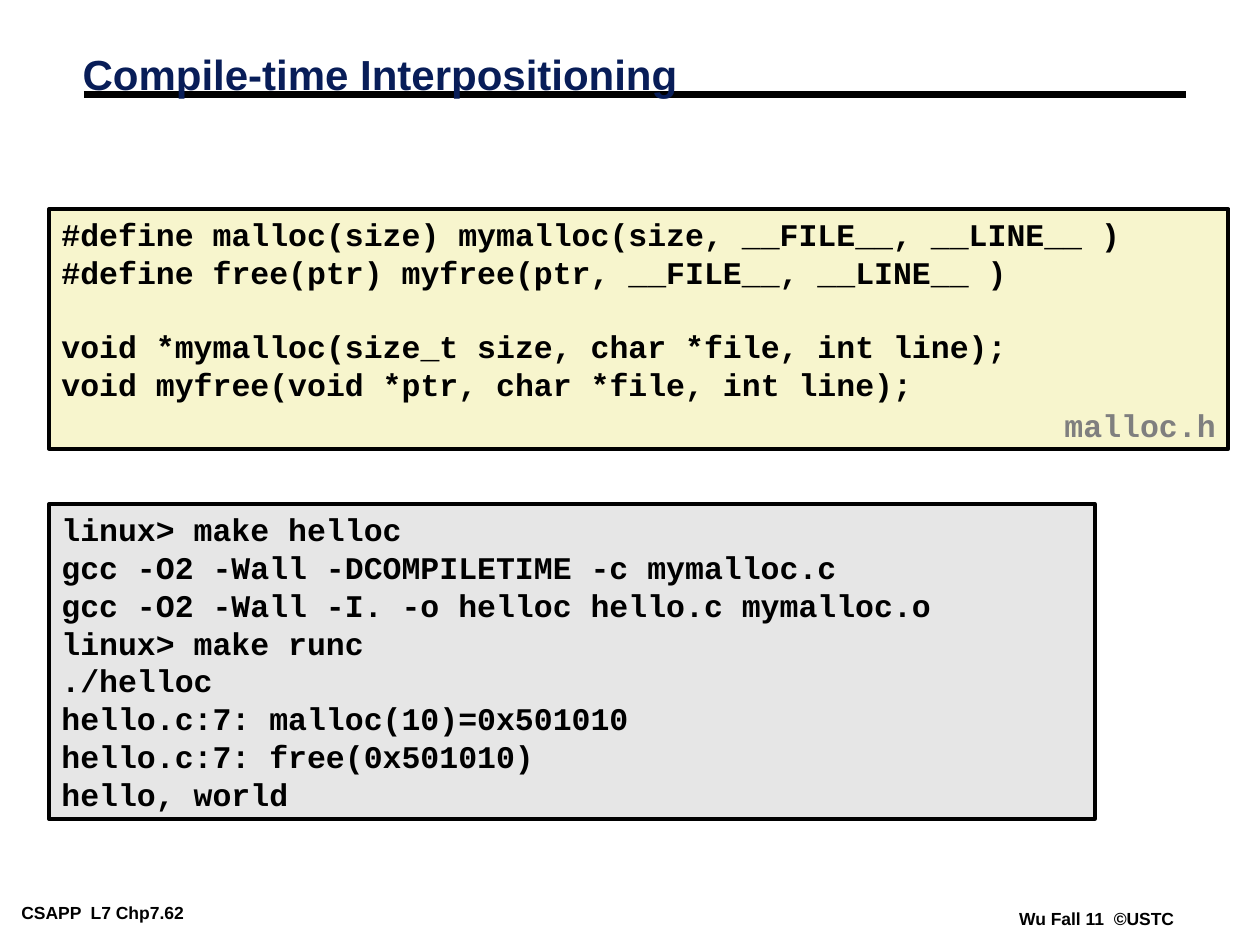
from dataclasses import dataclass

from lxml.etree import SubElement
from pptx import Presentation
from pptx.dml.color import RGBColor
from pptx.enum.shapes import MSO_CONNECTOR, MSO_SHAPE
from pptx.enum.text import MSO_ANCHOR, MSO_AUTO_SIZE, PP_ALIGN
from pptx.oxml.ns import qn
from pptx.util import Pt


@dataclass(frozen=True)
class Theme:
    ink: RGBColor = RGBColor.from_string("000000")
    navy: RGBColor = RGBColor.from_string("081D58")
    grey: RGBColor = RGBColor.from_string("7F7F7F")
    cream: RGBColor = RGBColor.from_string("F7F5CD")
    silver: RGBColor = RGBColor.from_string("E6E6E6")
    sans: str = "Arial"
    mono: str = "Courier New"
    title_size: int = 24
    code_size: int = 18
    footer_size: int = 10
    code_line: float = 20.4


T = Theme()

# Each group of lines is set off from the one before by one line of space.
HEADER_CODE = [
    ["#define malloc(size) mymalloc(size, __FILE__, __LINE__ )",
     "#define free(ptr) myfree(ptr, __FILE__, __LINE__ )"],
    ["void *mymalloc(size_t size, char *file, int line);",
     "void myfree(void *ptr, char *file, int line);"],
]
SESSION = [
    ["linux> make helloc",
     "gcc -O2 -Wall -DCOMPILETIME -c mymalloc.c",
     "gcc -O2 -Wall -I. -o helloc hello.c mymalloc.o",
     "linux> make runc",
     "./helloc",
     "hello.c:7: malloc(10)=0x501010",
     "hello.c:7: free(0x501010)",
     "hello, world"],
]


def set_attrs(obj, **values):
    for name, value in values.items():
        setattr(obj, name, value)


def set_frame(tf, inset_x, inset_y, **values):
    set_attrs(tf, margin_left=Pt(inset_x), margin_right=Pt(inset_x),
              margin_top=Pt(inset_y), margin_bottom=Pt(inset_y), **values)


def write(p, text, font, size, color):
    p.alignment = PP_ALIGN.LEFT
    r = p.add_run()
    r.text = text
    set_attrs(r.font, name=font, size=Pt(size), bold=True)
    r.font.color.rgb = color


def add_label(slide, box, text, font, size, color, insets):
    tf = slide.shapes.add_textbox(*map(Pt, box)).text_frame
    set_frame(tf, *insets, word_wrap=False,
              auto_size=MSO_AUTO_SIZE.SHAPE_TO_FIT_TEXT)
    write(tf.paragraphs[0], text, font, size, color)


def add_heading(slide, box):
    """Place the title and the thick rule that runs under it."""
    x, y, w, h = box
    rule_y = Pt(y + 26)
    rule = slide.shapes.add_connector(
        MSO_CONNECTOR.STRAIGHT, Pt(x + 8), rule_y, Pt(x + w), rule_y)
    rule.line.color.rgb = T.ink
    rule.line.width = Pt(4.5)
    SubElement(rule._element.spPr, qn("a:effectLst"))

    title = slide.shapes.title
    set_attrs(title, left=Pt(x), top=Pt(y), width=Pt(w - 40), height=Pt(h))
    # Bring the title in front of the rule.
    rule._element.addnext(title._element)
    tf = title.text_frame
    set_frame(tf, 7.2, 3.6, word_wrap=True, auto_size=MSO_AUTO_SIZE.NONE,
              vertical_anchor=MSO_ANCHOR.MIDDLE)
    p = tf.paragraphs[0]
    p.line_spacing = 0.87
    write(p, "Compile-time Interpositioning", T.sans, T.title_size, T.navy)


def add_code_panel(slide, box, groups, fill, file_name=None):
    """Place a framed listing, with its file name in the lower right corner."""
    x, y, w, h = box
    sp = slide.shapes.add_shape(MSO_SHAPE.RECTANGLE, *map(Pt, box))
    sp.shadow.inherit = False
    sp.fill.solid()
    sp.fill.fore_color.rgb = fill
    sp.line.color.rgb = T.ink
    sp.line.width = Pt(2.25)
    tf = sp.text_frame
    set_frame(tf, 7.2, 3.6, word_wrap=True, vertical_anchor=MSO_ANCHOR.TOP)
    for g, group in enumerate(groups):
        for i, line in enumerate(group):
            first = g == i == 0
            p = tf.paragraphs[0] if first else tf.add_paragraph()
            if g and i == 0:
                p.space_before = Pt(T.code_line)
            write(p, line, T.mono, T.code_size, T.ink)
    if file_name:
        label_w, label_h = 100.8, 28.8
        add_label(slide, (x + w - label_w, y + h - label_h + 0.8, label_w, label_h),
                  file_name, T.mono, T.code_size, T.grey, (7.2, 3.6))


def add_footer(slide, box):
    x, y, w, h = box
    right_w = 99.4
    for label_box, text in (
        ((x, y, 140.4, h), "CSAPP  L7 Chp7.62"),
        ((x + w - right_w, y + 3, right_w, h), "Wu Fall 11  ©USTC"),
    ):
        add_label(slide, label_box, text, T.sans, T.footer_size, T.ink, (5, 2.2))


def main():
    prs = Presentation()
    set_attrs(prs, slide_width=Pt(720), slide_height=Pt(540))
    slide = prs.slides.add_slide(prs.slide_layouts[5])
    add_footer(slide, (7.2, 513.4, 669.6, 15.8))
    add_heading(slide, (40, 28, 638, 32.4))
    add_code_panel(slide, (28, 119.6, 674, 136.8), HEADER_CODE, T.cream, "malloc.h")
    add_code_panel(slide, (28, 288, 597.6, 180), SESSION, T.silver)
    prs.save("out.pptx")


if __name__ == "__main__":
    main()
